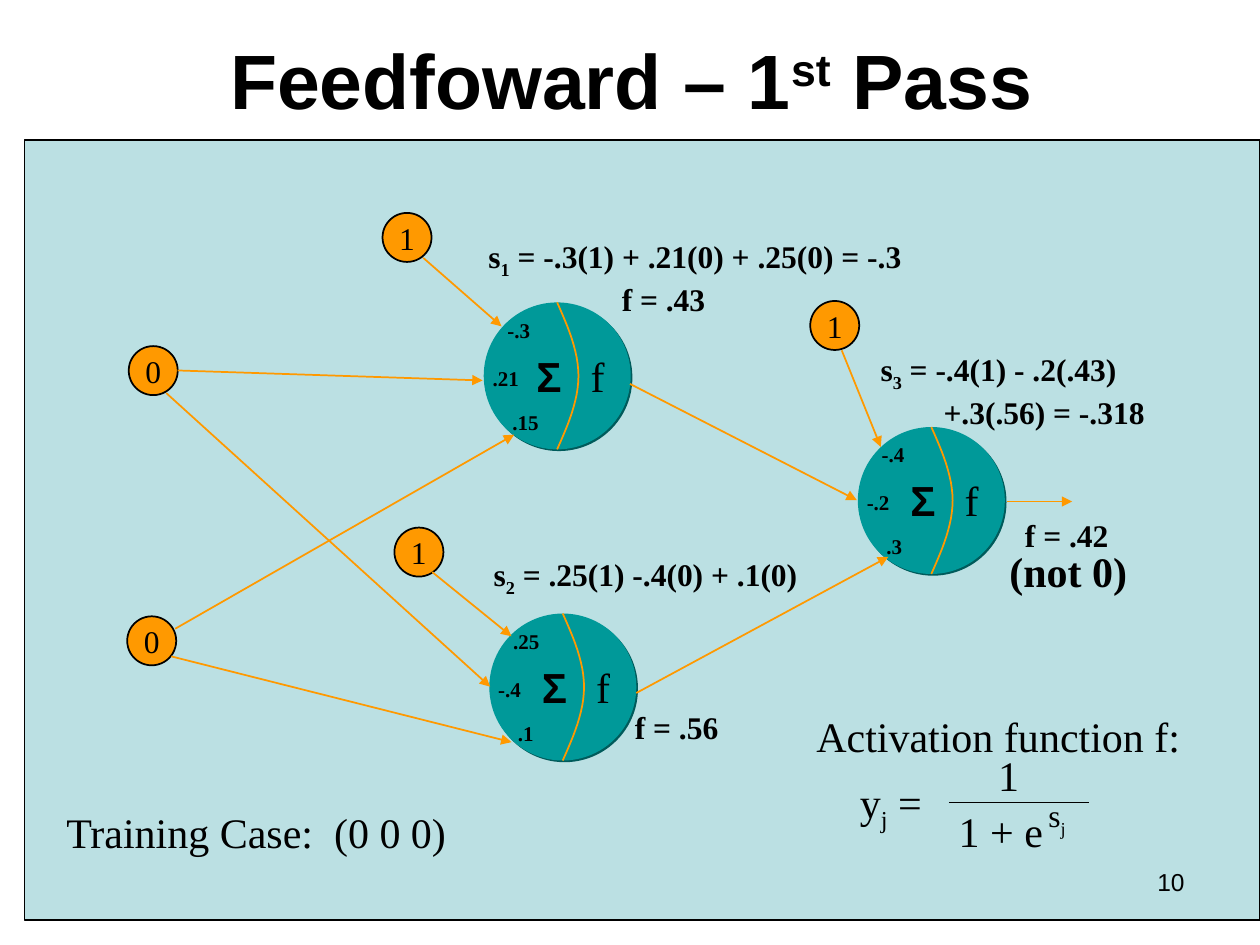
from lxml.etree import SubElement
from pptx import Presentation
from pptx.dml.color import RGBColor
from pptx.enum.shapes import MSO_CONNECTOR, MSO_SHAPE
from pptx.enum.text import MSO_ANCHOR, PP_ALIGN
from pptx.oxml.ns import qn
from pptx.util import Pt

BLACK, ORANGE, TEAL, PALE, SHADOW = "000000", "FF9900", "009999", "BBE0E3", "005B5B"
SERIF, SANS = "Times New Roman", "Arial"
NEURON, INPUT = 84, 28  # diameters
SLACK = 8  # spare label width that keeps each line whole

NEURONS = [
    (276.4, 172.8, ("-.3", ".21", ".15")),
    (279.6, 350.6, (".25", "-.4", ".1")),
    (490.2, 244, ("-.4", "-.2", ".3")),
]
WEIGHT_OFFSETS = [(6.5, 5), (-2, 32.5), (9.3, 57.5)]
CONNECTIONS = [
    (247, 326.9, 292.3, 363.6),
    (241.9, 147.4, 286.6, 186.5),
    (101.5, 211.7, 275.8, 217.4),
    (95, 224.6, 280.1, 392.4),
    (100.1, 359.3, 293.8, 248.4),
    (97.9, 375.1, 292.3, 424.1),
    (481, 200.2, 503.3, 255.4),
    (360, 219.4, 489.6, 285.8),
    (363.6, 396, 507.6, 318.2),
    (575.3, 286.6, 612.7, 286.6),
]
INPUTS = [
    (73.6, 197.8, "0"),
    (72.7, 352.2, "0"),
    (218.6, 121.7, "1"),
    (225.4, 301.5, "1"),
    (463, 172, "1"),
]
LABELS = [  # left, top, width, text with subscripts at odd places, size, bold
    (30.8, 457.2, 232, ["Training Case:\t(0 0 0)"], 24, False),
    (272, 131.8, 250.6, ["s", "1", " = -.3(1) + .21(0) + .25(0) = -.3"], 18, True),
    (348.2, 156.4, 62, ["f = .43"], 18, True),
    (275, 313.9, 188, ["s", "2", " = .25(1) -.4(0) + .1(0)"], 18, True),
    (355.7, 401, 62, ["f = .56"], 18, True),
    (578.6, 291.4, 62, ["f = .42"], 18, True),
    (569.7, 308.2, 86, ["(not 0)"], 24, True),
    (459.4, 402.5, 222.5, ["Activation function f:"], 24, False),
    (484.3, 439.9, 55.4, ["y", "j", " ="], 24, False),
    (592, 451.4, 28.8, ["s", "j"], 18, False),
    (563.3, 424.8, 26, ["1"], 24, False),
    (540.7, 456.5, 62.6, ["1 + e"], 24, False),
]


def color(hex_code):
    return RGBColor.from_string(hex_code)


def fill_paragraph(paragraph, parts, size, bold=False, font=SERIF, shift=-25):
    """Write the parts as runs, raising or lowering every second one."""
    for index, part in enumerate(parts):
        run = paragraph.add_run()
        run.text = part
        if index % 2:
            run._r.get_or_add_rPr().set("baseline", str(shift * 1000))
    paragraph.font.size = Pt(size)
    paragraph.font.bold = bold
    paragraph.font.name = font
    paragraph.font.color.rgb = color(BLACK)


def add_text(slide, left, top, width, parts, size, bold=False, font=SERIF):
    """Add a left-aligned label and return its text frame."""
    box = (left, top, width + SLACK, size * 1.2 + 7.2)
    frame = slide.shapes.add_textbox(*map(Pt, box)).text_frame
    frame.word_wrap = True
    paragraph = frame.paragraphs[0]
    if "\t" in parts[0]:
        tab_stops = SubElement(paragraph._p.get_or_add_pPr(), qn("a:tabLst"))
        SubElement(tab_stops, qn("a:tab"), pos=str(Pt(153)), algn="l")
    fill_paragraph(paragraph, parts, size, bold, font)
    return frame


def add_block(slide, box, parts, size, align, anchor, **style):
    """Add a text box of fixed size with its own alignment."""
    frame = slide.shapes.add_textbox(*map(Pt, box)).text_frame
    frame.word_wrap = True
    frame.vertical_anchor = anchor
    frame.paragraphs[0].alignment = align
    fill_paragraph(frame.paragraphs[0], parts, size, font=SANS, **style)


def add_filled(slide, kind, box, fill, line_width=None):
    shape = slide.shapes.add_shape(kind, *map(Pt, box))
    shape.shadow.inherit = False
    shape.fill.solid()
    shape.fill.fore_color.rgb = color(fill)
    if line_width:
        shape.line.color.rgb = color(BLACK)
        shape.line.width = Pt(line_width)
    else:
        shape.line.fill.background()
    return shape


def add_line(slide, ends, line_color, arrow=False):
    line = slide.shapes.add_connector(MSO_CONNECTOR.STRAIGHT, *map(Pt, ends))
    line.line.color.rgb = color(line_color)
    line.line.width = Pt(1)
    if arrow:
        SubElement(line.line._get_or_add_ln(), qn("a:tailEnd"), type="triangle")
    SubElement(line._element.spPr, qn("a:effectLst"))


def add_divider(slide, left, top):
    """Draw the bulging curve between the sum and the function of a neuron."""
    half = NEURON / 2
    upper = []
    for step in range(13):
        t = step / 12
        x = 3 * 6.3 * t * (1 - t) ** 2 + 3 * 12.2 * t**2 * (1 - t) + 12.2 * t**3
        upper.append((x, half * t))
    lower = [(x, NEURON - y) for x, y in reversed(upper[:-1])]
    points = [(Pt(left + x), Pt(top + y)) for x, y in upper + lower]
    builder = slide.shapes.build_freeform(*points[0])
    builder.add_line_segments(points[1:], close=False)
    curve = builder.convert_to_shape()
    curve.shadow.inherit = False
    curve.fill.background()
    curve.line.color.rgb = color(ORANGE)
    curve.line.width = Pt(1)


def add_neuron(slide, left, top, weights):
    body = add_filled(slide, MSO_SHAPE.OVAL, (left, top, NEURON, NEURON), TEAL)
    effects = body._element.spPr.find(qn("a:effectLst"))
    shadow = SubElement(effects, qn("a:outerShdw"), dist=str(Pt(1.4)), dir="2700000",
                        algn="ctr", rotWithShape="0")
    SubElement(shadow, qn("a:srgbClr"), val=SHADOW)
    add_divider(slide, left + NEURON / 2, top)
    add_text(slide, left + 54, top + 23.8, 22.4, ["f"], 24)
    add_text(slide, left + 23, top + 23.8, 28.4, ["Σ"], 24, True, SANS)
    for weight, (dx, dy) in zip(weights, WEIGHT_OFFSETS):
        width = 14.4 + sum({".": 3, "-": 4}.get(sign, 6) for sign in weight)
        add_text(slide, left + dx, top + dy, width, [weight], 12, True)


def add_input(slide, left, top, value):
    node = add_filled(slide, MSO_SHAPE.OVAL, (left, top, INPUT, INPUT), ORANGE, 1)
    frame = node.text_frame
    frame.word_wrap = False
    frame.vertical_anchor = MSO_ANCHOR.MIDDLE
    frame.paragraphs[0].alignment = PP_ALIGN.CENTER
    fill_paragraph(frame.paragraphs[0], [value], 18)


def add_output_sum(slide):
    frame = add_text(slide, 496.1, 196.6, 180, ["s", "3", " = -.4(1) - .2(.43)"], 18, True)
    continuation = frame.add_paragraph()
    continuation._p.get_or_add_pPr().set("marL", str(Pt(36)))
    fill_paragraph(continuation, ["+.3(.56) = -.318"], 18, True)


def main():
    presentation = Presentation()
    presentation.slide_width, presentation.slide_height = Pt(720), Pt(540)
    slide = presentation.slides.add_slide(presentation.slide_layouts[6])

    add_block(slide, (36.7, 0, 648, 90), ["Feedfoward – 1", "st", " Pass"], 44,
              PP_ALIGN.CENTER, MSO_ANCHOR.MIDDLE, bold=True, shift=30)
    add_filled(slide, MSO_SHAPE.RECTANGLE, (13.8, 80, 706.2, 445.8), PALE, 0.75)
    for neuron in NEURONS:
        add_neuron(slide, *neuron)
    for node in INPUTS:
        add_input(slide, *node)
    for ends in CONNECTIONS:
        add_line(slide, ends, ORANGE, arrow=True)
    for label in LABELS:
        add_text(slide, *label)
    add_output_sum(slide)
    add_line(slide, (542.2, 458.6, 622.1, 458.6), BLACK)  # fraction bar
    add_block(slide, (516.2, 491.8, 167.8, 37.4), ["10"], 14,
              PP_ALIGN.RIGHT, MSO_ANCHOR.TOP)

    presentation.save("out.pptx")


if __name__ == "__main__":
    main()
